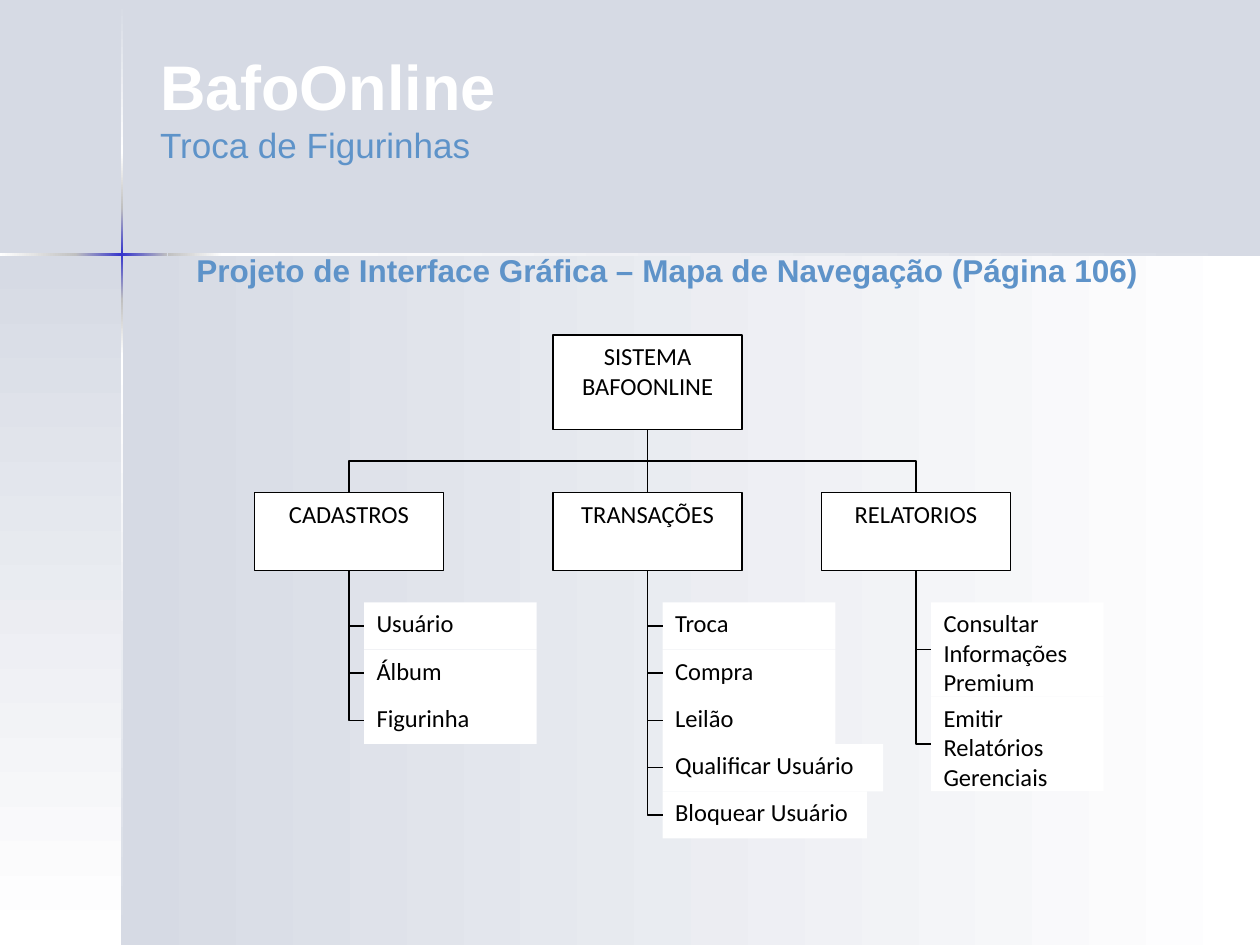
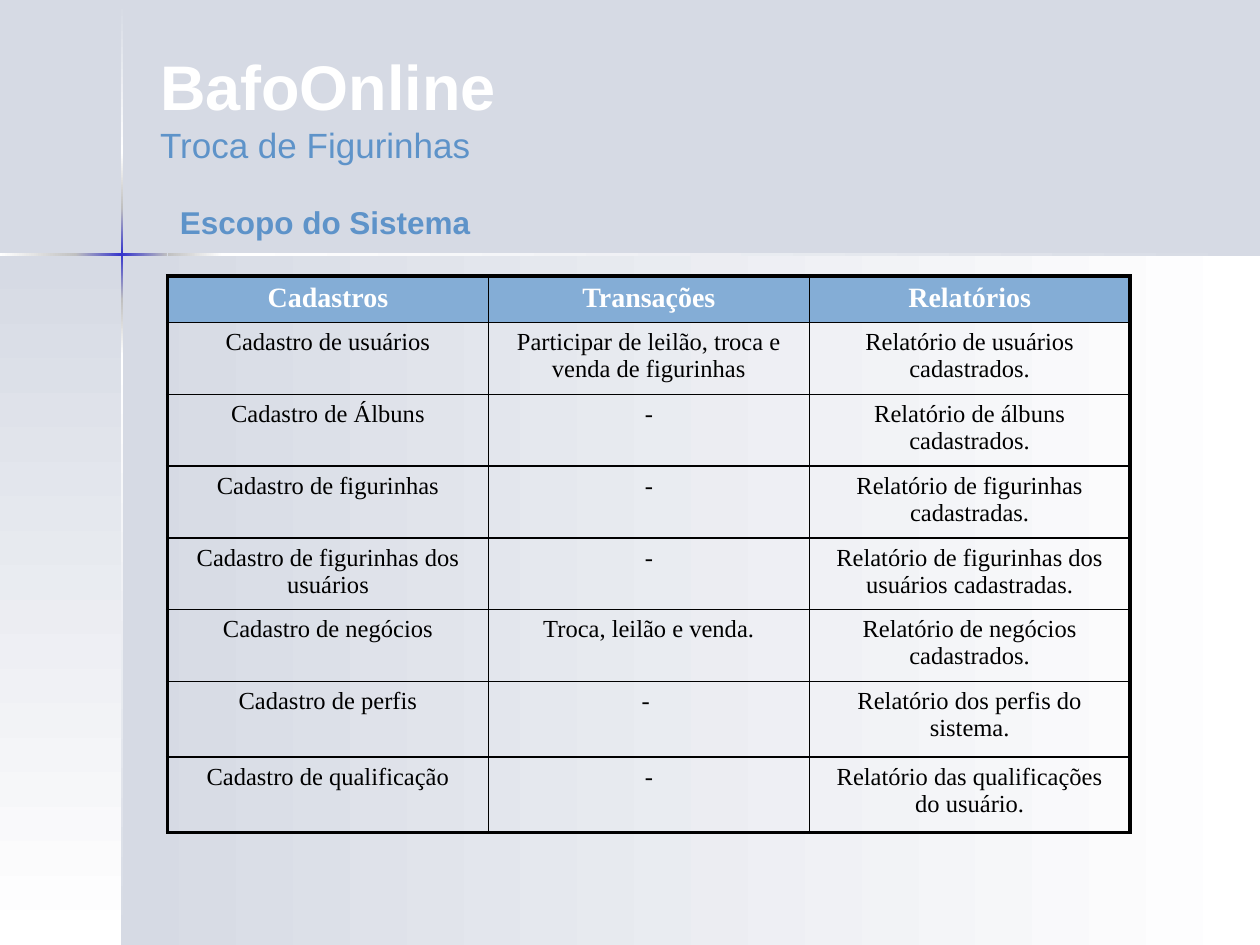
from dataclasses import dataclass

from lxml import etree
from pptx import Presentation
from pptx import util as u
from pptx.dml.color import RGBColor
from pptx.enum import shapes, text
from pptx.oxml.ns import qn


@dataclass(frozen=True)
class Theme:
    # Colours
    mist: str = "D6DAE4"
    white: str = "FFFFFF"
    silver: str = "C0C0C0"
    flare: str = "3333CC"
    blue: str = "5E93C9"
    header: str = "84ADD6"
    black: str = "000000"
    # Fonts
    heading_font: str = "Arial"
    map_font: str = "Calibri"
    table_font: str = "Times New Roman"
    # Type sizes and line widths, in points
    title: int = 36
    subtitle: int = 20
    heading: int = 18
    header_size: int = 16
    body: int = 14
    thin: float = 0.75
    inner: float = 1
    outer: float = 2.25


THEME = Theme()

# Background: (left, top, width, height), colours, clockwise angle
FADE = (THEME.mist, THEME.white)
FADE_BACK = (THEME.white, THEME.mist)
GLOW = (THEME.silver, THEME.flare, THEME.silver)
DIM = (THEME.white, THEME.silver)
BRIGHTEN = (THEME.silver, THEME.white)
BANDS = [
    ((0.97, 2.02, 9.03, 5.48), FADE, 0),
    ((0, 2.02, 0.97, 5.48), FADE, 90),
    ((0.96, 0.01, 0.02, 1.2), FADE, 90),
    ((0.96, 2.82, 0.02, 4.68), FADE_BACK, 90),
    ((1.77, 2.01, 8.23, 0.02), FADE_BACK, 0),
    ((0.96, 2.38, 0.02, 0.44), BRIGHTEN, 90),
    ((0.96, 1.21, 0.02, 0.44), DIM, 90),
    ((0.96, 1.65, 0.02, 0.73), GLOW, 90),
    ((0, 2.01, 0.61, 0.02), DIM, 0),
    ((1.33, 2.01, 0.44, 0.02), BRIGHTEN, 0),
    ((0.6, 2.01, 0.73, 0.02), GLOW, 0),
]

# Navigation map
BOX_WIDTH = 1.5
ROOT_TOP, ROOT_HEIGHT = 2.66, 0.75
BRANCH_TOP, BRANCH_HEIGHT = 3.91, 0.62
LEAF_TOP, LEAF_WIDTH, LEAF_INDENT = 4.78, 1.37, 0.12
LEAF_ROW = ROOT_HEIGHT / 2
ROOT_CENTRE = 5.14
# Branch: name, centre, leaves as (label, rows high, width)
BRANCHES = [
    ("CADASTROS", 2.77, [
        ("Usuário", 1, LEAF_WIDTH),
        ("Álbum", 1, LEAF_WIDTH),
        ("Figurinha", 1, LEAF_WIDTH),
    ]),
    ("TRANSAÇÕES", ROOT_CENTRE, [
        ("Troca", 1, LEAF_WIDTH),
        ("Compra", 1, LEAF_WIDTH),
        ("Leilão", 1, LEAF_WIDTH),
        ("Qualificar Usuário", 1, 1.75),
        ("Bloquear Usuário", 1, 1.62),
    ]),
    ("RELATORIOS", 7.27, [
        ("Consultar Informações Premium", 2, LEAF_WIDTH),
        ("Emitir Relatórios Gerenciais", 2, LEAF_WIDTH),
    ]),
]

# Scope table
SCOPE = [
    ("Cadastros", "Transações", "Relatórios"),
    ("Cadastro de usuários", "Participar de leilão, troca e venda de figurinhas",
     "Relatório de usuários cadastrados."),
    ("Cadastro de Álbuns", "-", "Relatório de álbuns cadastrados."),
    ("Cadastro de figurinhas", "-", "Relatório de figurinhas cadastradas."),
    ("Cadastro de figurinhas dos usuários", "-",
     "Relatório de figurinhas dos usuários cadastradas."),
    ("Cadastro de negócios", "Troca, leilão e venda.",
     "Relatório de negócios cadastrados."),
    ("Cadastro de perfis", "- ", "Relatório dos perfis do sistema."),
    ("Cadastro de qualificação", "-", "Relatório das qualificações do usuário."),
]
ROW_HEIGHTS = [0.37] + [0.57] * 5 + [0.6] * 2


def inches(*lengths):
    return [u.Inches(length) for length in lengths]


def rgb(colour):
    return RGBColor.from_string(colour)


def add_run(paragraph, words, font, size, colour, bold=False):
    run = paragraph.add_run()
    run.text = words
    run.font.name = font
    run.font.size = u.Pt(size)
    run.font.color.rgb = rgb(colour)
    run.font.bold = bold


def add_rectangle(slide, left, top, width, height):
    shape = slide.shapes.add_shape(
        shapes.MSO_SHAPE.RECTANGLE, *inches(left, top, width, height))
    shape.shadow.inherit = False
    shape.line.fill.background()
    return shape


def set_gradient(shape, colours, angle):
    shape.fill.gradient()
    shape.fill.gradient_angle = (360 - angle) % 360
    stops = shape.element.spPr.find(qn("a:gradFill")).find(qn("a:gsLst"))
    for stop in list(stops):
        stops.remove(stop)
    for index, colour in enumerate(colours):
        position = 100000 * index // (len(colours) - 1)
        stop = etree.SubElement(stops, qn("a:gs"), pos=str(position))
        etree.SubElement(stop, qn("a:srgbClr"), val=colour)


def decorate_master(presentation, slide):
    """Draw the bands on a slide, then move them to the master."""
    master = presentation.slide_master
    master.background.fill.solid()
    master.background.fill.fore_color.rgb = rgb(THEME.mist)
    for index, (place, colours, angle) in enumerate(BANDS):
        band = add_rectangle(slide, *place)
        set_gradient(band, colours, angle)
        band.element.nvSpPr.cNvPr.set("id", str(100 + index))
        master.shapes.element.insert(2 + index, band.element)


def set_title(slide, height):
    title = slide.shapes.title
    title.left, title.top, title.width, title.height = inches(1.17, 0.33, 8.25, height)
    frame = title.text_frame
    frame.auto_size = text.MSO_AUTO_SIZE.NONE
    frame.vertical_anchor = text.MSO_ANCHOR.TOP
    paragraph = frame.paragraphs[0]
    paragraph.alignment = text.PP_ALIGN.LEFT
    add_run(paragraph, "BafoOnline", THEME.heading_font, THEME.title, THEME.white, True)
    paragraph.add_line_break()
    line_break = title.element.find(".//" + qn("a:br"))
    etree.SubElement(line_break, qn("a:rPr"), sz=str(THEME.title * 100))
    add_run(paragraph, "Troca de Figurinhas", THEME.heading_font, THEME.subtitle, THEME.blue)


def add_heading(slide, words, left, top, width):
    box = slide.shapes.add_textbox(*inches(left, top, width, 0.4))
    box.text_frame.word_wrap = True
    add_run(box.text_frame.paragraphs[0], words,
            THEME.heading_font, THEME.heading, THEME.blue, True)


def add_box(slide, label, left, top, width, height, outlined=False):
    box = add_rectangle(slide, left, top, width, height)
    box.fill.solid()
    box.fill.fore_color.rgb = rgb(THEME.white)
    frame = box.text_frame
    frame.word_wrap = True
    frame.vertical_anchor = text.MSO_ANCHOR.TOP
    paragraph = frame.paragraphs[0]
    paragraph.space_after = u.Pt(10)
    paragraph.alignment = text.PP_ALIGN.LEFT
    if outlined:
        paragraph.alignment = text.PP_ALIGN.CENTER
        box.line.color.rgb = rgb(THEME.black)
        box.line.width = u.Pt(THEME.thin)
    add_run(paragraph, label, THEME.map_font, THEME.body, THEME.black)
    return box


def add_line(slide, kind, begin, end):
    line = slide.shapes.add_connector(kind, *begin, *end)
    line.line.color.rgb = rgb(THEME.black)
    line.line.width = u.Pt(THEME.thin)
    etree.SubElement(line.element.spPr, qn("a:effectLst"))
    return line


def bottom_middle(box):
    return box.left + box.width // 2, box.top + box.height


def add_elbow(slide, parent, end, preset):
    """Leave the parent downwards and bend towards the end point."""
    begin = bottom_middle(parent)
    line = add_line(slide, shapes.MSO_CONNECTOR.ELBOW, begin, end)
    across, down = end[0] - begin[0], end[1] - begin[1]
    # The preset runs sideways, so it is turned about its centre
    properties = line.element.spPr
    properties.find(qn("a:prstGeom")).set("prst", preset)
    transform = properties.find(qn("a:xfrm"))
    transform.attrib.pop("flipH", None)
    if across > 0:
        transform.set("flipH", "1")
    line.rotation = 270 if across > 0 else 90
    line.width, line.height = down, abs(across)
    line.left = (begin[0] + end[0] - line.width) // 2
    line.top = (begin[1] + end[1] - line.height) // 2


def add_branch(slide, root, name, centre, leaves):
    branch = add_box(slide, name, centre - BOX_WIDTH / 2, BRANCH_TOP,
                     BOX_WIDTH, BRANCH_HEIGHT, outlined=True)
    top_middle = (branch.left + branch.width // 2, branch.top)
    if centre == ROOT_CENTRE:
        trunk = add_line(slide, shapes.MSO_CONNECTOR.STRAIGHT,
                         bottom_middle(root), top_middle)
        trunk.begin_connect(root, 2)
        trunk.end_connect(branch, 0)
    else:
        add_elbow(slide, root, top_middle, "bentConnector3")
    top = LEAF_TOP
    for label, rows, width in leaves:
        leaf = add_box(slide, label, centre + LEAF_INDENT, top, width, rows * LEAF_ROW)
        add_elbow(slide, branch, (leaf.left, leaf.top + leaf.height // 2),
                  "bentConnector2")
        top += rows * LEAF_ROW


def add_navigation_map(slide):
    root = add_box(slide, "SISTEMA BAFOONLINE", ROOT_CENTRE - BOX_WIDTH / 2, ROOT_TOP,
                   BOX_WIDTH, ROOT_HEIGHT, outlined=True)
    for name, centre, leaves in BRANCHES:
        add_branch(slide, root, name, centre, leaves)


def set_borders(cell, outer_sides):
    properties = cell._tc.get_or_add_tcPr()
    for side in "LRTB":
        width = THEME.outer if side in outer_sides else THEME.inner
        border = etree.SubElement(properties, qn("a:ln" + side), w=str(u.Pt(width)))
        fill = etree.SubElement(border, qn("a:solidFill"))
        etree.SubElement(fill, qn("a:srgbClr"), val=THEME.black)


def add_scope_table(slide):
    last_row, last_column = len(SCOPE) - 1, len(SCOPE[0]) - 1
    table = slide.shapes.add_table(
        len(SCOPE), len(SCOPE[0]), *inches(1.33, 2.19, 7.64, sum(ROW_HEIGHTS))).table
    table.first_row = table.horz_banding = False
    for row, (height, labels) in enumerate(zip(ROW_HEIGHTS, SCOPE)):
        table.rows[row].height = u.Inches(height)
        for column, label in enumerate(labels):
            cell = table.cell(row, column)
            edges = {"L": column == 0, "R": column == last_column,
                     "T": row == 0, "B": row == last_row}
            set_borders(cell, [side for side, outer in edges.items() if outer])
            paragraph = cell.text_frame.paragraphs[0]
            paragraph.alignment = text.PP_ALIGN.CENTER
            if row == 0:
                cell.fill.solid()
                cell.fill.fore_color.rgb = rgb(THEME.header)
                add_run(paragraph, label, THEME.table_font, THEME.header_size,
                        THEME.white, True)
            else:
                cell.fill.background()
                add_run(paragraph, label, THEME.table_font, THEME.body, THEME.black)


def main():
    presentation = Presentation()
    presentation.slide_width, presentation.slide_height = inches(10, 7.5)
    title_only = presentation.slide_layouts[5]

    # Slide 1: navigation map
    map_slide = presentation.slides.add_slide(title_only)
    decorate_master(presentation, map_slide)
    set_title(map_slide, 1.37)
    add_heading(map_slide, "Projeto de Interface Gráfica – Mapa de Navegação (Página 106)",
                1.46, 1.94, 8.23)
    add_navigation_map(map_slide)

    # Slide 2: system scope
    scope_slide = presentation.slides.add_slide(title_only)
    set_title(scope_slide, 0.99)
    add_heading(scope_slide, "Escopo do Sistema", 1.33, 1.56, 2.76)
    add_scope_table(scope_slide)

    presentation.save("out.pptx")


if __name__ == "__main__":
    main()
